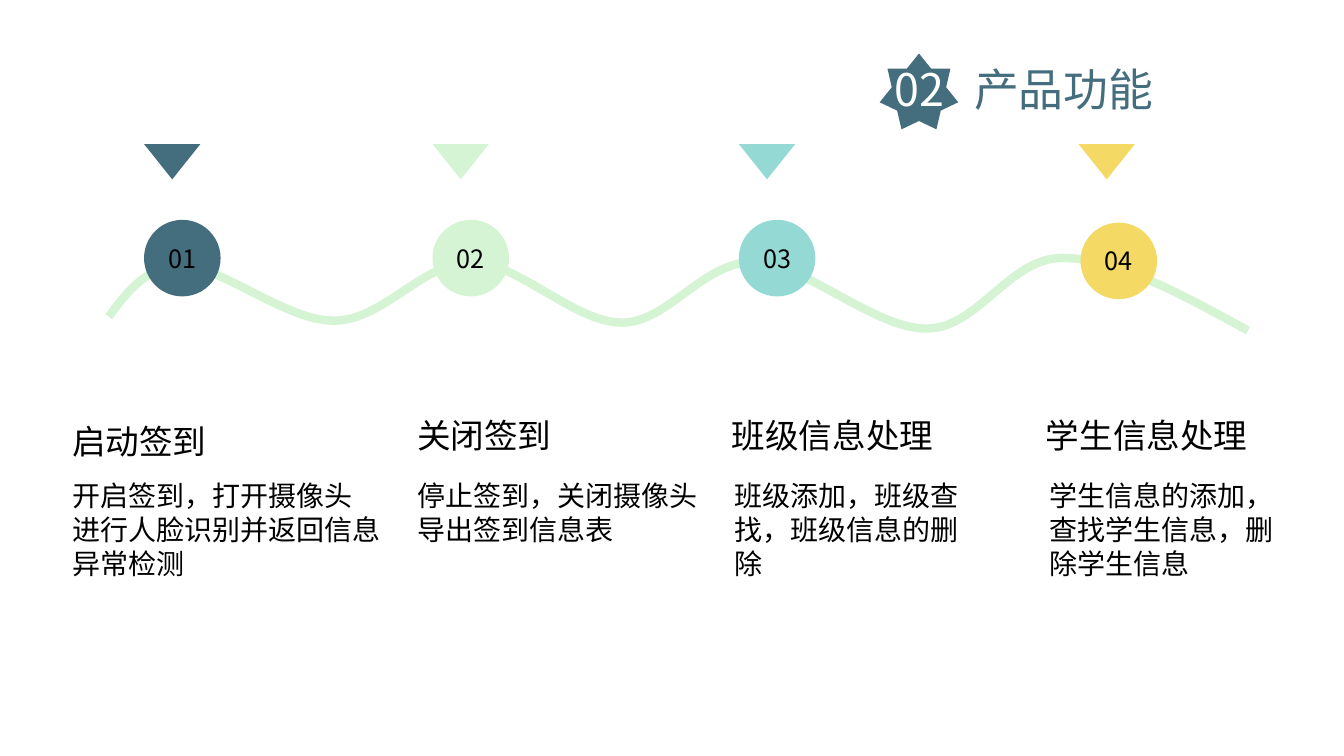
from dataclasses import dataclass

from lxml.etree import SubElement
from pptx import Presentation
from pptx.dml.color import RGBColor
from pptx.enum.shapes import MSO_SHAPE
from pptx.enum.text import MSO_ANCHOR, PP_ALIGN
from pptx.oxml.ns import qn
from pptx.util import Cm, Pt


@dataclass(frozen=True)
class Theme:
    font: str = "Noto Sans CJK SC"
    slate: str = "446E7E"
    mint: str = "D5F4D3"
    aqua: str = "94D9D4"
    yellow: str = "F4D964"
    white: str = "FFFFFF"
    black: str = "000000"
    title: int = 32
    heading: int = 24
    body: int = 20
    number: int = 18
    wave: int = 6
    leading: float = 1.2


class Deck:
    def __init__(self, theme):
        self.theme = theme
        self.prs = Presentation()
        self.prs.slide_width, self.prs.slide_height = Cm(33.87), Cm(19.05)
        self.slide = self.prs.slides.add_slide(self.prs.slide_layouts[6])

    def run(self, p, text, size, color):
        r = p.add_run()
        r.text = text
        r.font.size = Pt(size)
        r.font.color.rgb = RGBColor.from_string(color)
        r.font.name = self.theme.font
        SubElement(r.font._element, qn("a:ea"), typeface=self.theme.font)

    def shape(self, kind, left, top, width, height, fill):
        sp = self.slide.shapes.add_shape(kind, Cm(left), Cm(top), Cm(width), Cm(height))
        sp.shadow.inherit = False
        sp.fill.solid()
        sp.fill.fore_color.rgb = RGBColor.from_string(fill)
        sp.line.fill.background()
        return sp

    def badge(self, left, top, size, fill, text):
        sp = self.shape(MSO_SHAPE.OVAL, left, top, size, size, fill)
        tf = sp.text_frame
        tf.vertical_anchor = MSO_ANCHOR.MIDDLE
        p = tf.paragraphs[0]
        p.alignment = PP_ALIGN.CENTER
        self.run(p, text, self.theme.number, self.theme.black)

    def text(self, left, top, width, height, paragraphs, size, tab=None):
        """Each paragraph is a list of (text, colour) runs; tab is a stop in cm."""
        box = self.slide.shapes.add_textbox(Cm(left), Cm(top), Cm(width), Cm(height))
        tf = box.text_frame
        tf.word_wrap = True
        for i, runs in enumerate(paragraphs):
            p = tf.paragraphs[0] if i == 0 else tf.add_paragraph()
            p.line_spacing = Pt(size * self.theme.leading)
            if tab:
                stops = SubElement(p._p.get_or_add_pPr(), qn("a:tabLst"))
                SubElement(stops, qn("a:tab"), pos=str(Cm(tab)), algn="l")
            for text, color in runs:
                self.run(p, text, size, color)
        return box

    def curve(self, points, color, width):
        """Draw cubic Béziers: a start point, then two controls and an end each."""
        pts = [(Cm(x), Cm(y)) for x, y in points]
        builder = self.slide.shapes.build_freeform(*pts[0])
        builder.add_line_segments(pts[1:], close=False)
        sp = builder.convert_to_shape()
        sp.shadow.inherit = False
        sp.fill.background()
        sp.line.color.rgb = RGBColor.from_string(color)
        sp.line.width = Pt(width)
        outline = sp._element.find(".//" + qn("a:path"))
        lines = outline.findall(qn("a:lnTo"))
        for i in range(0, len(lines), 3):
            bezier = SubElement(outline, qn("a:cubicBezTo"))
            for line in lines[i:i + 3]:
                bezier.append(line[0])
                outline.remove(line)

    def group(self, *shapes):
        self.slide.shapes.add_group_shape(shapes=shapes)


WAVE = [
    (2.74, 7.98),
    (3.23, 7.32), (3.71, 6.68), (4.65, 6.71),
    (5.61, 6.73), (7.24, 8.1), (8.43, 8.08),
    (9.65, 8.08), (10.67, 6.6), (11.89, 6.6),
    (13.08, 6.63), (14.48, 8.13), (15.67, 8.13),
    (16.84, 8.13), (17.7, 6.6), (19, 6.6),
    (20.27, 6.63), (22.07, 8.31), (23.37, 8.28),
    (24.66, 8.26), (25.43, 6.5), (26.77, 6.5),
    (28.12, 6.5), (29.79, 7.42), (31.45, 8.33),
]


def main():
    th = Theme()
    deck = Deck(th)
    star = deck.shape(MSO_SHAPE.STAR_7_POINT, 22.17, 1.35, 1.98, 1.91, th.slate)
    title = deck.text(22.3, 1.42, 9.35, 1.63,
                      [[("02\t", th.white), ("产品功能", th.slate)]], th.title, tab=2)
    deck.group(star, title)
    deck.curve(WAVE, th.mint, th.wave)

    # colour, marker (left, top), triangle left, heading (left, top, text),
    # body (left, width, height, lines)
    features = [
        (th.slate, (3.63, 5.54), 3.63, (1.57, 10.49, "启动签到"),
         (1.57, 8.69, 2.82, ["开启签到，打开摄像头", "进行人脸识别并返回信息", "异常检测"])),
        (th.mint, (10.9, 5.54), 10.9, (10.26, 10.34, "关闭签到"),
         (10.26, 7.7, 1.96, ["停止签到，关闭摄像头", "导出签到信息表"])),
        (th.aqua, (18.62, 5.54), 18.62, (18.19, 10.34, "班级信息处理"),
         (18.26, 6.2, 2.82, ["班级添加，班级查找，班级信息的删除"])),
        (th.yellow, (27.23, 5.61), 27.18, (26.11, 10.34, "学生信息处理"),
         (26.19, 6.25, 2.82, ["学生信息的添加，查找学生信息，删除学生信息"])),
    ]
    for i, (color, marker, tri_left, heading, body) in enumerate(features, 1):
        deck.badge(*marker, 1.93, color, f"{i:02}")
        left, width, height, lines = body
        deck.text(left, 11.94, width, height,
                  [[(line, th.black)] for line in lines], th.body)
        left, top, name = heading
        deck.text(left, top, 5.79, 1.27, [[(name, th.black)]], th.heading)
        pointer = deck.shape(MSO_SHAPE.ISOSCELES_TRIANGLE, tri_left, 3.63, 1.42, 0.89, color)
        pointer.rotation = 180

    deck.prs.save("out.pptx")


if __name__ == "__main__":
    main()
